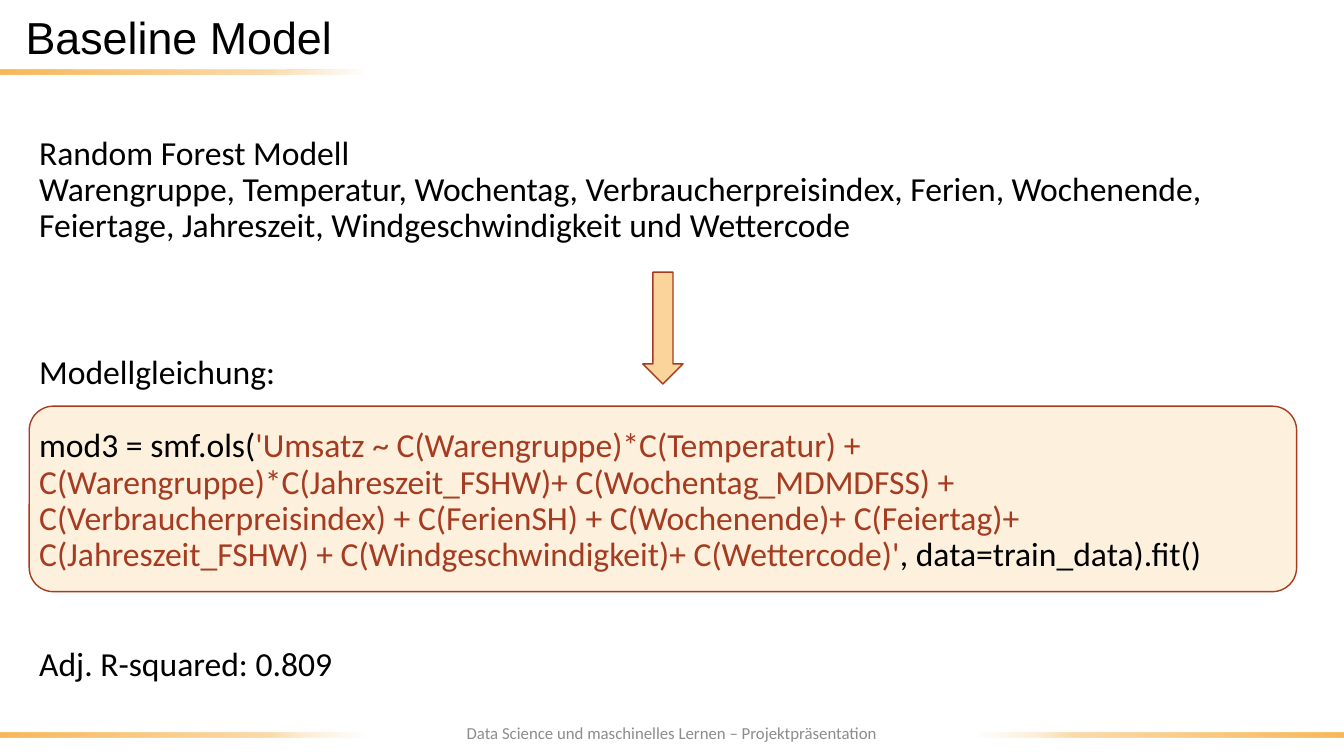
from dataclasses import dataclass

from lxml.etree import SubElement
from pptx import Presentation
from pptx.dml.color import RGBColor
from pptx.enum.shapes import MSO_SHAPE as Shape
from pptx.enum.text import MSO_ANCHOR as Anchor, MSO_AUTO_SIZE as AutoSize, PP_ALIGN as Align
from pptx.oxml.ns import qn
from pptx.util import Inches, Pt


@dataclass(frozen=True)
class Theme:
    amber: str = "F8B859"
    rust: str = "A53B20"
    black: str = "000000"
    grey: str = "8C8C8C"
    heading_font: str = "Arial"
    body_font: str = "Calibri"
    title_size: int = 32
    body_size: int = 24
    footer_size: int = 12
    line_spacing: float = 0.9


THEME = Theme()
TITLE = "Baseline Model"
FOOTER = "Data Science und maschinelles Lernen – Projektpräsentation"
FORMULA = (
    "'Umsatz ~ C(Warengruppe)*C(Temperatur) + C(Warengruppe)*C(Jahreszeit_FSHW)+ "
    "C(Wochentag_MDMDFSS) + C(Verbraucherpreisindex) + C(FerienSH) + C(Wochenende)+ "
    "C(Feiertag)+ C(Jahreszeit_FSHW) + C(Windgeschwindigkeit)+ C(Wettercode)'"
)
# (lines of space before, [(text, colour), ...])
BODY = [
    (0, [("Random Forest Modell", THEME.black)]),
    (0, [("Warengruppe, Temperatur, Wochentag, Verbraucherpreisindex, Ferien, Wochenende, "
          "Feiertage, Jahreszeit, Windgeschwindigkeit und Wettercode", THEME.black)]),
    (3, [("Modellgleichung:", THEME.black)]),
    (1, [("mod3 = smf.ols(", THEME.black), (FORMULA, THEME.rust),
         (", data=train_data).fit()", THEME.black)]),
    (2, [("Adj. R-squared: 0.809", THEME.black)]),
]

WIDTH, HEIGHT = 13.33, 7.5
MARGIN = 0.29
CONTENT_WIDTH = 12.57
BAR_WIDTH, BAR_HEIGHT = 3.63, 0.05
HEADER_BAR_TOP, FOOTER_BAR_TOP = 0.69, 7.27
ARROW_WIDTH, ARROW_HEIGHT = 0.4, 1.11
LINE_HEIGHT = THEME.body_size * 1.22 * THEME.line_spacing

# (left, top, angle, opacity of the third stop)
BARS = [
    (0, HEADER_BAR_TOP, 0, 30),
    (0, FOOTER_BAR_TOP, 0, 25),
    (WIDTH - BAR_WIDTH, FOOTER_BAR_TOP, 180, 25),
]


def rgb(colour):
    return RGBColor.from_string(colour)


def box(left, top, width, height):
    return [Inches(value) for value in (left, top, width, height)]


def set_opacity(colour_element, percent):
    SubElement(colour_element, qn("a:alpha")).set("val", str(percent * 1000))


def style_run(run, font, size, colour):
    run.font.name, run.font.size = font, Pt(size)
    run.font.color.rgb = rgb(colour)


def add_tinted_shape(slide, kind, place, opacity):
    shape = slide.shapes.add_shape(kind, *box(*place))
    shape.shadow.inherit = False
    shape.fill.solid()
    shape.fill.fore_color.rgb = rgb(THEME.amber)
    solid_fill = shape.element.spPr.find(qn("a:solidFill"))
    set_opacity(solid_fill[0], opacity)
    shape.line.color.rgb = rgb(THEME.rust)
    shape.line.width = Pt(1)
    return shape


def add_fading_bar(slide, left, top, angle, late_opacity):
    bar = slide.shapes.add_shape(Shape.RECTANGLE, *box(left, top, BAR_WIDTH, BAR_HEIGHT))
    bar.shadow.inherit = False
    bar.line.fill.background()
    bar.fill.gradient()
    bar.fill.gradient_angle = angle
    stops = bar.element.spPr.find(qn("a:gradFill")).find(qn("a:gsLst"))
    for stop in list(stops):
        stops.remove(stop)
    for position, opacity in ((0, 100), (74, 50), (83, late_opacity), (100, 0)):
        stop = SubElement(stops, qn("a:gs"))
        stop.set("pos", str(position * 1000))
        colour = SubElement(stop, qn("a:srgbClr"))
        colour.set("val", THEME.amber)
        set_opacity(colour, opacity)


def set_title(slide):
    title = slide.shapes.title
    title.left, title.top, title.width, title.height = box(0, 0, 3.55, 0.79)
    frame = title.text_frame
    frame.text = TITLE
    frame.auto_size = AutoSize.NONE
    frame.vertical_anchor = Anchor.MIDDLE
    paragraph = frame.paragraphs[0]
    paragraph.alignment = Align.CENTER
    paragraph.line_spacing = THEME.line_spacing
    style_run(paragraph.runs[0], THEME.heading_font, THEME.title_size, THEME.black)


def add_footer(slide):
    frame = slide.shapes.add_textbox(*box(0, 7.07, WIDTH, 0.4)).text_frame
    frame.word_wrap = True
    frame.vertical_anchor = Anchor.MIDDLE
    frame.text = FOOTER
    paragraph = frame.paragraphs[0]
    paragraph.alignment = Align.CENTER
    style_run(paragraph.runs[0], THEME.body_font, THEME.footer_size, THEME.grey)


def add_body(slide):
    frame = slide.shapes.add_textbox(*box(MARGIN, 1.3, CONTENT_WIDTH, 5.92)).text_frame
    frame.word_wrap = True
    for index, (lines_before, pieces) in enumerate(BODY):
        paragraph = frame.add_paragraph() if index else frame.paragraphs[0]
        paragraph.line_spacing = THEME.line_spacing
        if lines_before:
            paragraph.space_before = Pt(round(lines_before * LINE_HEIGHT, 1))
        for text, colour in pieces:
            run = paragraph.add_run()
            run.text = text
            style_run(run, THEME.body_font, THEME.body_size, colour)


def main():
    presentation = Presentation()
    presentation.slide_width, presentation.slide_height = Inches(WIDTH), Inches(HEIGHT)
    slide = presentation.slides.add_slide(presentation.slide_layouts[5])
    formula_panel = add_tinted_shape(
        slide, Shape.ROUNDED_RECTANGLE, (MARGIN, 4.03, CONTENT_WIDTH, 1.84), 20)
    formula_panel.adjustments[0] = 0.13
    set_title(slide)
    for bar in BARS:
        add_fading_bar(slide, *bar)
    add_footer(slide)
    add_body(slide)
    arrow_left = MARGIN + (CONTENT_WIDTH - ARROW_WIDTH) / 2
    add_tinted_shape(slide, Shape.DOWN_ARROW, (arrow_left, 2.7, ARROW_WIDTH, ARROW_HEIGHT), 60)
    presentation.save("out.pptx")


if __name__ == "__main__":
    main()
